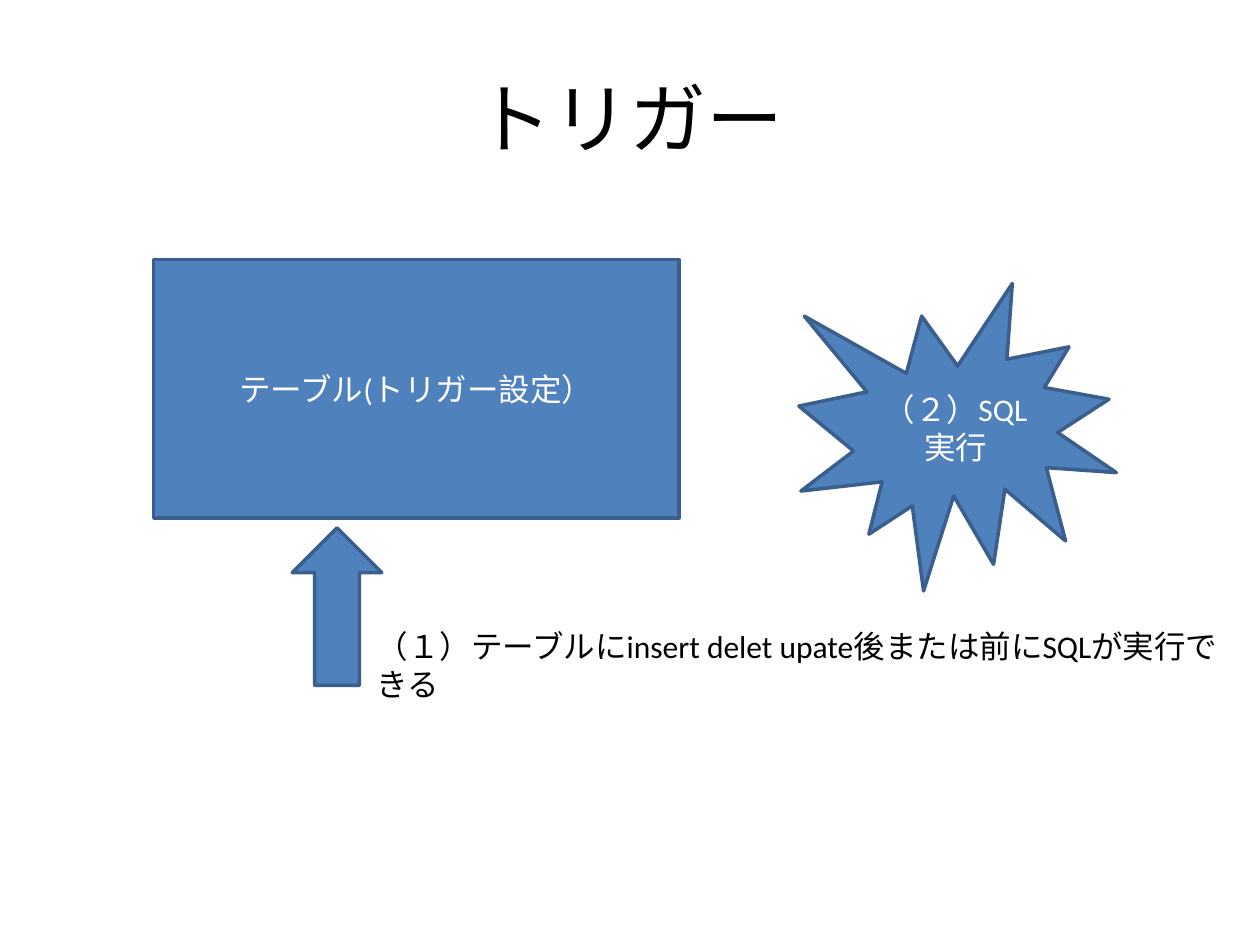
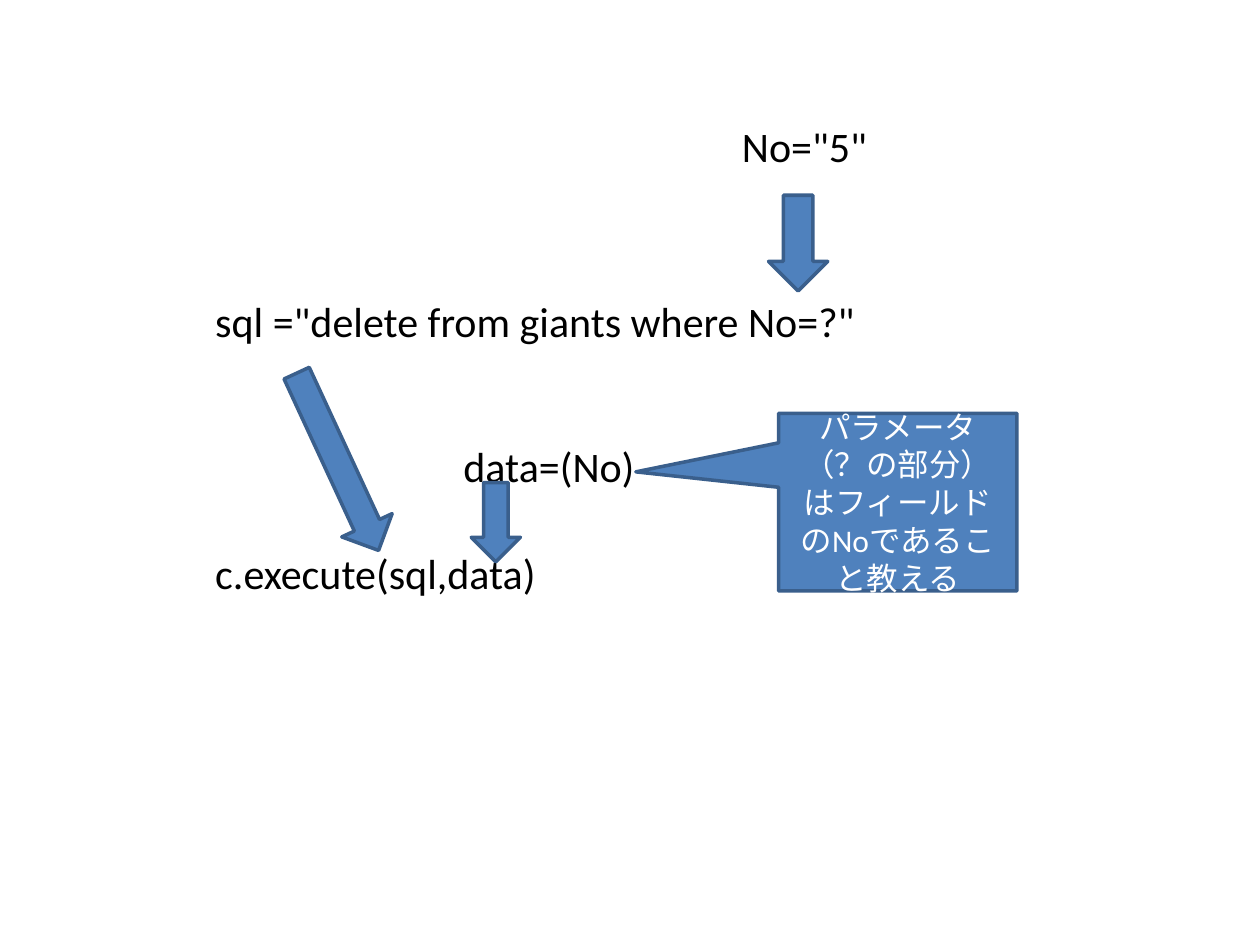
from pptx import Presentation
from pptx.dml.color import RGBColor
from pptx.enum.shapes import MSO_SHAPE
from pptx.enum.text import MSO_ANCHOR, PP_ALIGN
from pptx.util import Inches, Pt

RECT = MSO_SHAPE.RECTANGLE
UP = MSO_SHAPE.UP_ARROW
DOWN = MSO_SHAPE.DOWN_ARROW
BURST = MSO_SHAPE.EXPLOSION1
CALLOUT = MSO_SHAPE.RECTANGULAR_CALLOUT
MIDDLE = MSO_ANCHOR.MIDDLE
TOP = MSO_ANCHOR.TOP
CENTER = PP_ALIGN.CENTER
LEFT = PP_ALIGN.LEFT

FONT = "Calibri"
BLUE = "4F81BD"
EDGE = "3A5F8C"
WHITE = "FFFFFF"
BLACK = "000000"
CODE_LEFT = 1.61


def paint(target, color):
    """Give a fill or line format a solid colour."""
    target.solid()
    target.fore_color.rgb = RGBColor.from_string(color)


def write(shape, text, size, color, align, anchor):
    """Put one styled paragraph into a shape."""
    frame = shape.text_frame
    frame.word_wrap = True
    frame.vertical_anchor = anchor
    para = frame.paragraphs[0]
    para.text = text
    para.alignment = align
    para.font.name = FONT
    para.font.size = Pt(size)
    para.font.color.rgb = RGBColor.from_string(color)


def add_text(slide, box, text, size, align=LEFT, anchor=TOP):
    """Add a black text box at left, top, width, height."""
    shape = slide.shapes.add_textbox(*map(Inches, box))
    write(shape, text, size, BLACK, align, anchor)


def add_block(slide, kind, box, text="", turn=0):
    """Add a blue shape with optional white text and return it."""
    shape = slide.shapes.add_shape(kind, *map(Inches, box))
    shape.shadow.inherit = False
    shape.rotation = turn
    paint(shape.fill, BLUE)
    paint(shape.line.fill, EDGE)
    shape.line.width = Pt(2)
    if text:
        write(shape, text, 18, WHITE, CENTER, MIDDLE)
    return shape


def add_code(slide, left, top, width, text):
    """Add one line of code."""
    add_text(slide, (left, top, width, 0.5), text, 24)


def add_page(deck):
    """Add a blank white slide."""
    slide = deck.slides.add_slide(deck.slide_layouts[6])
    paint(slide.background.fill, WHITE)
    return slide


def build_trigger(deck):
    """Show how a change to a table fires SQL."""
    slide = add_page(deck)
    add_text(slide, (0.5, 0.3, 9, 1.25), "トリガー", 44, CENTER, MIDDLE)
    add_block(slide, RECT, (1.22, 2.06, 4.17, 2.05), "テーブル(トリガー設定）")
    add_block(slide, UP, (2.32, 4.19, 0.71, 1.25))
    add_text(slide, (2.89, 4.93, 6.89, 0.4),
             "（１）テーブルにinsert delet upate後または前にSQLが実行できる", 18)
    add_block(slide, BURST, (6.34, 2.25, 2.52, 2.44), "（２）SQL実行")


def build_query(deck):
    """Show how a parameter reaches the SQL call."""
    slide = add_page(deck)
    add_code(slide, 5.79, 0.91, 2.19, 'No="5"')
    add_code(slide, CODE_LEFT, 2.3, 5.4, 'sql ="delete from giants where No=?"')
    add_code(slide, 3.58, 3.45, 3.22, "data=(No)")
    add_block(slide, DOWN, (6.1, 1.55, 0.47, 0.76))
    add_code(slide, CODE_LEFT, 4.3, 2.8, "c.execute(sql,data)")
    add_block(slide, DOWN, (3.74, 3.83, 0.39, 0.63))
    add_block(slide, DOWN, (2.46, 2.89, 0.44, 1.55), turn=335.2)
    lines = ("パラメータ", "（？の部分）", "はフィールド", "のNoであるこ", "と教える")
    note = add_block(slide, CALLOUT, (6.18, 3.28, 1.89, 1.41), "\v".join(lines))
    note.adjustments[0] = -1.1
    note.adjustments[1] = -0.17


def main():
    """Build and save the deck."""
    deck = Presentation()
    deck.slide_width = Inches(10)
    deck.slide_height = Inches(7.5)
    build_trigger(deck)
    build_query(deck)
    deck.save("out.pptx")


if __name__ == "__main__":
    main()
